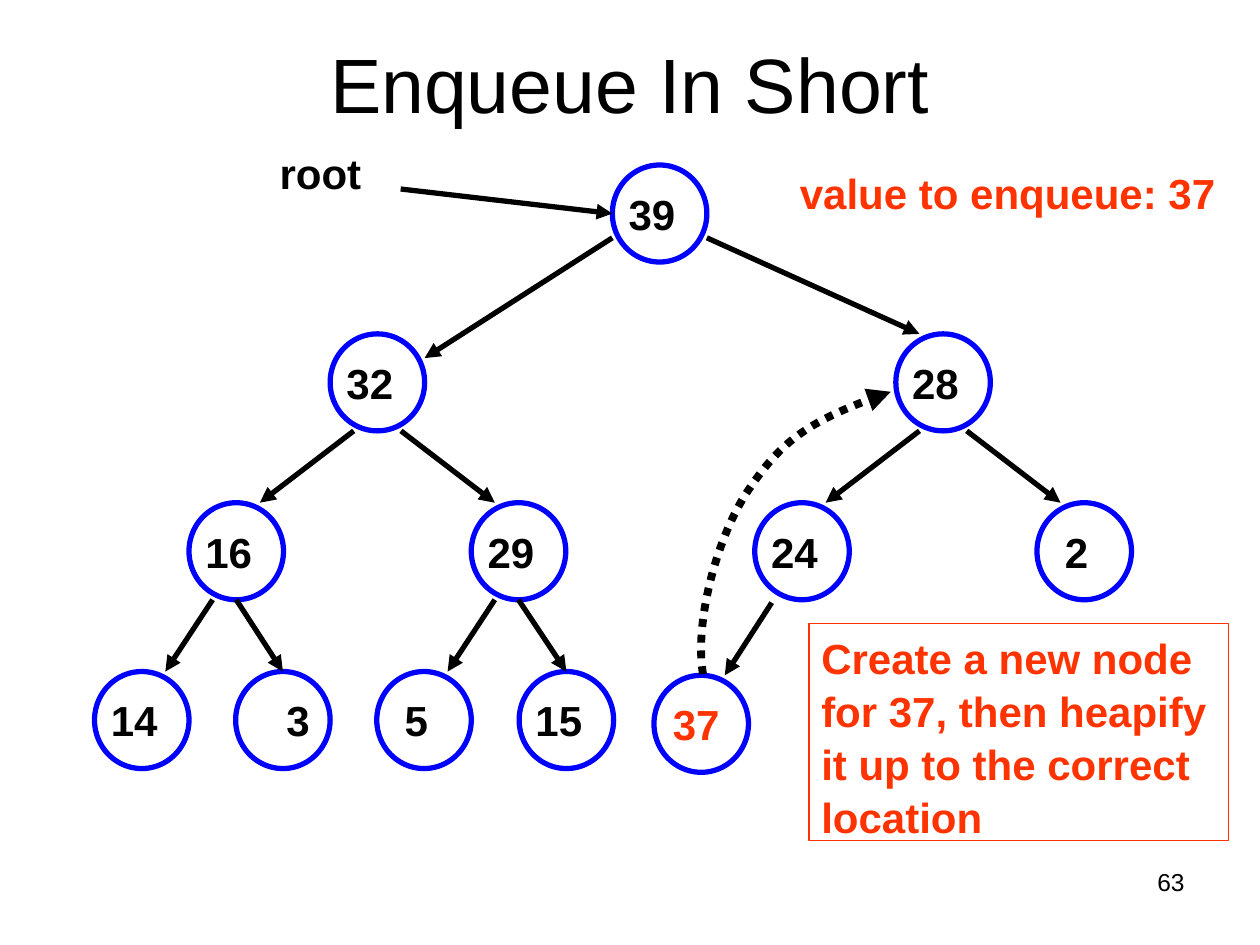
import pptx
import pptx.dml.color
import pptx.enum.dml
import pptx.enum.shapes
import pptx.enum.text
import pptx.util
from lxml import etree

Inches = pptx.util.Inches
ALIGN = pptx.enum.text.PP_ALIGN
ANCHOR = pptx.enum.text.MSO_ANCHOR
SHAPE = pptx.enum.shapes.MSO_SHAPE

BLACK, BLUE, RED, WHITE = "000000", "0000FF", "FF3300", "FFFFFF"
NODE_WIDTH, NODE_HEIGHT = 0.75, 0.77
LABEL_SHIFT = -0.06

# value: (left, top) of each heap node
NODES = {
    "39": (4.86, 1.31),
    "32": (2.62, 2.65), "28": (7.11, 2.65),
    "16": (1.5, 3.99), "29": (3.74, 3.99), "24": (5.99, 3.99), "2": (8.23, 3.99),
    "14": (0.75, 5.33), "3": (1.87, 5.33), "5": (2.99, 5.33), "15": (4.12, 5.33),
    "37": (5.19, 5.36),
}
LABEL_SHIFTS = {"3": 0.12, "37": -0.04}
LABEL_COLORS = {"37": RED}

# Attachment points as fractions of a node's width and height
TOP_LEFT, TOP_MIDDLE, TOP_RIGHT = (0.25, 0), (0.5, 0), (0.75, 0)
LOW_LEFT, LOW_MIDDLE, LOW_RIGHT = (0.25, 1), (0.5, 1), (0.75, 1)
EDGES = [
    ("39", (0, 0.75), "32", (1, 0.25)), ("39", (1, 0.75), "28", TOP_LEFT),
    ("32", LOW_LEFT, "16", TOP_RIGHT), ("32", LOW_RIGHT, "29", TOP_LEFT),
    ("28", LOW_LEFT, "24", TOP_RIGHT), ("28", LOW_RIGHT, "2", TOP_LEFT),
    ("16", LOW_LEFT, "14", TOP_RIGHT), ("16", LOW_MIDDLE, "3", TOP_MIDDLE),
    ("29", LOW_LEFT, "5", TOP_RIGHT), ("29", LOW_MIDDLE, "15", TOP_MIDDLE),
    ("24", (0.18, 1.03), "37", TOP_RIGHT),
]
ROOT_ARROW_START = (3.18, 1.5)

# Start point, then two Bezier segments of two controls and an end point
HEAPIFY_CURVE = [(5.58, 5.35), (5.51, 4.94), (5.69, 4.26), (5.94, 3.89),
                 (6.19, 3.52), (6.43, 3.33), (7.07, 3.11)]

# text, (left, top, width, height), size, bold, colour, alignment, anchor
TEXTS = [
    ("Enqueue In Short", (0.5, 0.03, 9, 1.25), 44, False, BLACK, ALIGN.CENTER, ANCHOR.MIDDLE),
    ("root", (2.12, 1.12, 1.25, 0.57), 24, True, BLACK, ALIGN.LEFT, ANCHOR.TOP),
    ("value to enqueue: 37", (6.25, 1.28, 3.58, 0.5), 24, True, RED, ALIGN.LEFT, ANCHOR.TOP),
    ("63", (7.17, 6.83, 2.33, 0.52), 14, False, BLACK, ALIGN.RIGHT, ANCHOR.TOP),
]
CALLOUT = "Create a new node for 37, then heapify it up to the correct location"


def rgb(value):
    return pptx.dml.color.RGBColor.from_string(value)


def set_line(shape, color, width):
    shape.line.color.rgb = rgb(color)
    shape.line.width = pptx.util.Pt(width)


def add_arrowhead(shape):
    line = shape.line._get_or_add_ln()
    etree.SubElement(line, pptx.oxml.ns.qn("a:tailEnd"), type="triangle")


def write(shape, text, size, bold, color, align, anchor):
    frame = shape.text_frame
    frame.word_wrap = True
    frame.vertical_anchor = anchor
    para = frame.paragraphs[0]
    para.alignment = align
    span = para.add_run()
    span.text = text
    span.font.name = "Arial"
    span.font.size = pptx.util.Pt(size)
    span.font.bold = bold
    span.font.color.rgb = rgb(color)
    return para


def add_node(page, value):
    left, top = NODES[value]
    node = page.shapes.add_shape(SHAPE.OVAL, Inches(left), Inches(top),
                                 Inches(NODE_WIDTH), Inches(NODE_HEIGHT))
    node.shadow.inherit = False
    node.fill.solid()
    node.fill.fore_color.rgb = rgb(WHITE)
    set_line(node, BLUE, 3)
    write(node, value, 24, True, LABEL_COLORS.get(value, BLACK), ALIGN.CENTER, ANCHOR.MIDDLE)
    # Unequal insets move the centred label sideways
    shift = LABEL_SHIFTS.get(value, LABEL_SHIFT)
    frame = node.text_frame
    frame.margin_left = Inches(max(0, 2 * shift))
    frame.margin_right = Inches(max(0, -2 * shift))
    frame.margin_top = frame.margin_bottom = 0


def node_point(value, place):
    left, top = NODES[value]
    return left + place[0] * NODE_WIDTH, top + place[1] * NODE_HEIGHT


def add_arrow(page, start, end):
    arrow = page.shapes.add_connector(pptx.enum.shapes.MSO_CONNECTOR.STRAIGHT,
                                      *(Inches(value) for value in start + end))
    set_line(arrow, BLACK, 3)
    add_arrowhead(arrow)
    etree.SubElement(arrow._element.spPr, pptx.oxml.ns.qn("a:effectLst"))


def add_curve(page, points):
    """Build a polyline, then turn every three line segments into one Bezier segment."""
    points = [(Inches(x), Inches(y)) for x, y in points]
    builder = page.shapes.build_freeform(*points[0])
    builder.add_line_segments(points[1:], close=False)
    curve = builder.convert_to_shape()
    qn = pptx.oxml.ns.qn
    segments = list(curve._element.iter(qn("a:lnTo")))
    outline = segments[0].getparent()
    for first in range(0, len(segments), 3):
        bezier = etree.SubElement(outline, qn("a:cubicBezTo"))
        for segment in segments[first:first + 3]:
            bezier.append(segment[0])
            outline.remove(segment)
    curve.shadow.inherit = False
    curve.fill.background()
    set_line(curve, BLACK, 4.5)
    curve.line.dash_style = pptx.enum.dml.MSO_LINE.ROUND_DOT
    add_arrowhead(curve)


def add_callout(page):
    box = page.shapes.add_shape(SHAPE.RECTANGLE, Inches(6.42), Inches(4.95),
                                Inches(3.33), Inches(1.72))
    box.shadow.inherit = False
    box.fill.background()
    set_line(box, RED, 0.75)
    para = write(box, CALLOUT, 24, True, RED, ALIGN.LEFT, ANCHOR.TOP)
    para.line_spacing = 1.05


def main():
    deck = pptx.Presentation()
    deck.slide_width, deck.slide_height = Inches(10), Inches(7.5)
    page = deck.slides.add_slide(deck.slide_layouts[6])
    for text, place, *style in TEXTS:
        box = page.shapes.add_textbox(*(Inches(value) for value in place))
        write(box, text, *style)
    for value in NODES:
        add_node(page, value)
    for parent, start, child, end in EDGES:
        add_arrow(page, node_point(parent, start), node_point(child, end))
    add_arrow(page, ROOT_ARROW_START, node_point("39", (0, 0.5)))
    add_callout(page)
    add_curve(page, HEAPIFY_CURVE)
    deck.save("out.pptx")


if __name__ == "__main__":
    main()
